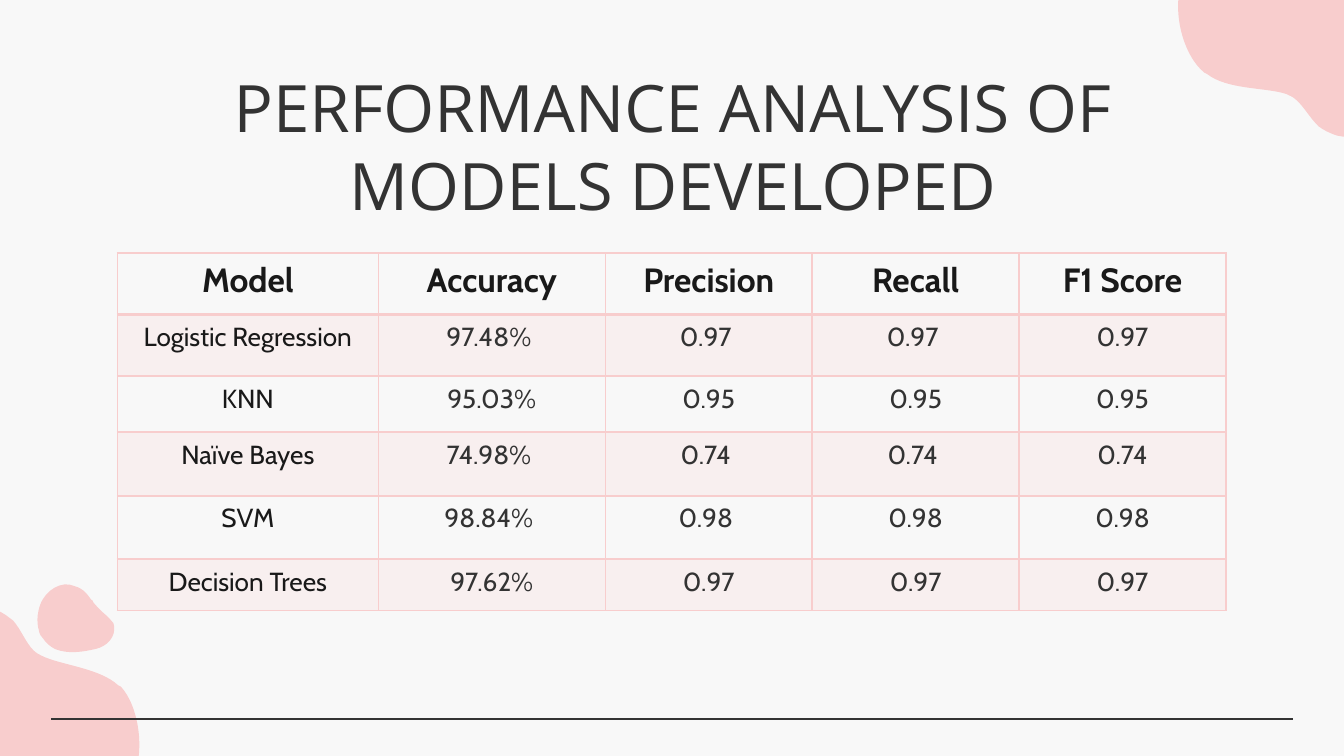
import pptx
import pptx.dml.color
import pptx.enum.shapes
import pptx.enum.text
import pptx.oxml
import pptx.oxml.ns
import pptx.util

Cm = pptx.util.Cm
Pt = pptx.util.Pt
CENTER = pptx.enum.text.PP_ALIGN.CENTER
qn = pptx.oxml.ns.qn
DRAWING_NS = pptx.oxml.ns.nsdecls("a")

PAPER = pptx.dml.color.RGBColor(0xF8, 0xF8, 0xF8)
PINK = pptx.dml.color.RGBColor(0xF8, 0xCD, 0xCD)
DARK = pptx.dml.color.RGBColor(0x33, 0x33, 0x33)
BLACK = pptx.dml.color.RGBColor(0x19, 0x19, 0x19)

BLOB_UNIT = Cm(0.0254)  # blob coordinates are hundredths of an inch

# Each blob: a start point, then two control points and an end point per curve
BLOBS = [
    # Bottom left
    [(90, 511), (89, 511), (89, 510), (88, 510), (74, 497), (45, 495), (31, 488),
     (29, 487), (27, 486), (25, 484), (19, 478), (16, 469), (10, 462),
     (6, 459), (3, 456), (-3, 454), (-23, 446), (-48, 463), (-51, 481),
     (-54, 497), (-49, 508), (-41, 516), (-40, 518), (-39, 519), (-37, 520),
     (-37, 520), (-37, 520), (-37, 521), (-28, 530), (-30, 550), (-3, 579),
     (-1, 582), (2, 584), (5, 587), (40, 621), (66, 611), (66, 611),
     (66, 611), (85, 607), (98, 582), (109, 559), (103, 525), (90, 511)],
    # Small one above it
    [(32, 475), (34, 478), (37, 481), (41, 483), (51, 487), (62, 485), (71, 483),
     (80, 481), (86, 474), (85, 466), (85, 464), (84, 463), (83, 462),
     (80, 458), (76, 456), (71, 450), (70, 449), (69, 448), (69, 447),
     (68, 446), (67, 446), (67, 445), (64, 441), (62, 438), (55, 436),
     (46, 432), (34, 439), (30, 450), (26, 461), (29, 469), (29, 469),
     (29, 469), (29, 472), (32, 475)],
    # Top right
    [(896, 54), (897, 55), (897, 55), (898, 55), (913, 67), (942, 65), (957, 70),
     (959, 71), (962, 72), (964, 74), (970, 79), (974, 87), (981, 94),
     (985, 97), (989, 99), (995, 101), (1016, 106), (1038, 86), (1039, 67),
     (1040, 51), (1034, 42), (1025, 34), (1024, 33), (1022, 32), (1021, 31),
     (1021, 31), (1021, 31), (1020, 30), (1011, 22), (1010, 1), (980, -24),
     (978, -26), (975, -29), (972, -31), (932, -60), (908, -48), (908, -48),
     (908, -48), (889, -41), (880, -16), (871, 9), (881, 42), (896, 54)],
]

COLUMN_WIDTHS = [4.93, 4.29, 3.91, 3.91, 3.91]
ROW_HEIGHTS = [1.17, 1.16, 1.06, 1.2, 1.2, 0.97]
RESULTS = [
    ["Model", "Accuracy", "Precision", "Recall", "F1 Score"],
    ["Logistic Regression", "97.48% ", "0.97 ", "0.97 ", "0.97"],
    ["KNN", "95.03%", "0.95", "0.95", "0.95"],
    ["Naïve Bayes", "74.98% ", "0.74 ", "0.74 ", "0.74"],
    ["SVM", "98.84% ", "0.98 ", "0.98", "0.98"],
    ["Decision Trees", "97.62%", "0.97", "0.97", "0.97"],
]


def add_run(paragraph, text, font_name, size, color, bold=False):
    paragraph.alignment = CENTER
    run = paragraph.add_run()
    run.text = text
    run.font.name = font_name
    run.font.size = Pt(size)
    run.font.bold = bold
    run.font.color.rgb = color


def turn_lines_into_curves(shape):
    """Make every three line segments the control points and end of one curve."""
    segments = list(shape._element.iter(qn("a:lnTo")))
    for i in range(0, len(segments), 3):
        curve = pptx.oxml.parse_xml(f"<a:cubicBezTo {DRAWING_NS}/>")
        segments[i].addprevious(curve)
        for segment in segments[i:i + 3]:
            curve.append(segment[0])
            segment.getparent().remove(segment)


presentation = pptx.Presentation()
presentation.slide_width = Cm(25.4)
presentation.slide_height = Cm(14.29)
slide = presentation.slides.add_slide(presentation.slide_layouts[6])
slide.background.fill.solid()
slide.background.fill.fore_color.rgb = PAPER

# Corner blobs
for points in BLOBS:
    builder = slide.shapes.build_freeform(*points[0], scale=BLOB_UNIT)
    builder.add_line_segments(points[1:], close=True)
    blob = builder.convert_to_shape()
    turn_lines_into_curves(blob)
    blob.shadow.inherit = False
    blob.fill.solid()
    blob.fill.fore_color.rgb = PINK
    blob.line.fill.background()

# Footer line
footer_line = slide.shapes.add_connector(
    pptx.enum.shapes.MSO_CONNECTOR.STRAIGHT, Cm(0.97), Cm(13.59), Cm(24.43), Cm(13.59))
footer_line.line.color.rgb = DARK
footer_line.line.width = Pt(0.75)
footer_line._element.spPr.append(pptx.oxml.parse_xml(f"<a:effectLst {DRAWING_NS}/>"))

# Title
title = slide.shapes.add_textbox(Cm(2.01), Cm(1.02), Cm(21.41), Cm(1.78))
title.text_frame.word_wrap = True
title.text_frame.margin_top = Cm(0.25)
title.text_frame.margin_bottom = Cm(0.25)
add_run(title.text_frame.paragraphs[0], "PERFORMANCE ANALYSIS OF MODELS DEVELOPED",
        "Open Sans", 35, DARK)

# Results table
table = slide.shapes.add_table(
    len(RESULTS), len(COLUMN_WIDTHS), Cm(2.22), Cm(4.78),
    Cm(sum(COLUMN_WIDTHS)), Cm(sum(ROW_HEIGHTS))).table
table.first_row = False
table.horz_banding = False
for column, width in zip(table.columns, COLUMN_WIDTHS):
    column.width = Cm(width)
for row, height in zip(table.rows, ROW_HEIGHTS):
    row.height = Cm(height)

for row_index, values in enumerate(RESULTS):
    is_header = row_index == 0
    for column_index, value in enumerate(values):
        cell = table.cell(row_index, column_index)
        color = BLACK if is_header or column_index == 0 else DARK
        add_run(cell.text_frame.paragraphs[0], value, "Cabin",
                18 if is_header else 14, color, is_header)

        # Odd rows are tinted with 20 % pink
        properties = cell._tc.get_or_add_tcPr()
        if row_index % 2:
            cell.fill.solid()
            cell.fill.fore_color.rgb = PINK
            properties.find(".//" + qn("a:srgbClr")).append(
                pptx.oxml.parse_xml(f'<a:alpha {DRAWING_NS} val="20000"/>'))
        else:
            cell.fill.background()

        # Borders, with a thicker edge under the header
        for position, side in enumerate("LRTB"):
            width = Pt(2 if is_header and side == "B" else 1)
            properties.insert(position, pptx.oxml.parse_xml(
                f'<a:ln{side} {DRAWING_NS} w="{width}">'
                f'<a:solidFill><a:srgbClr val="{PINK}"/></a:solidFill></a:ln{side}>'))

presentation.save("out.pptx")
